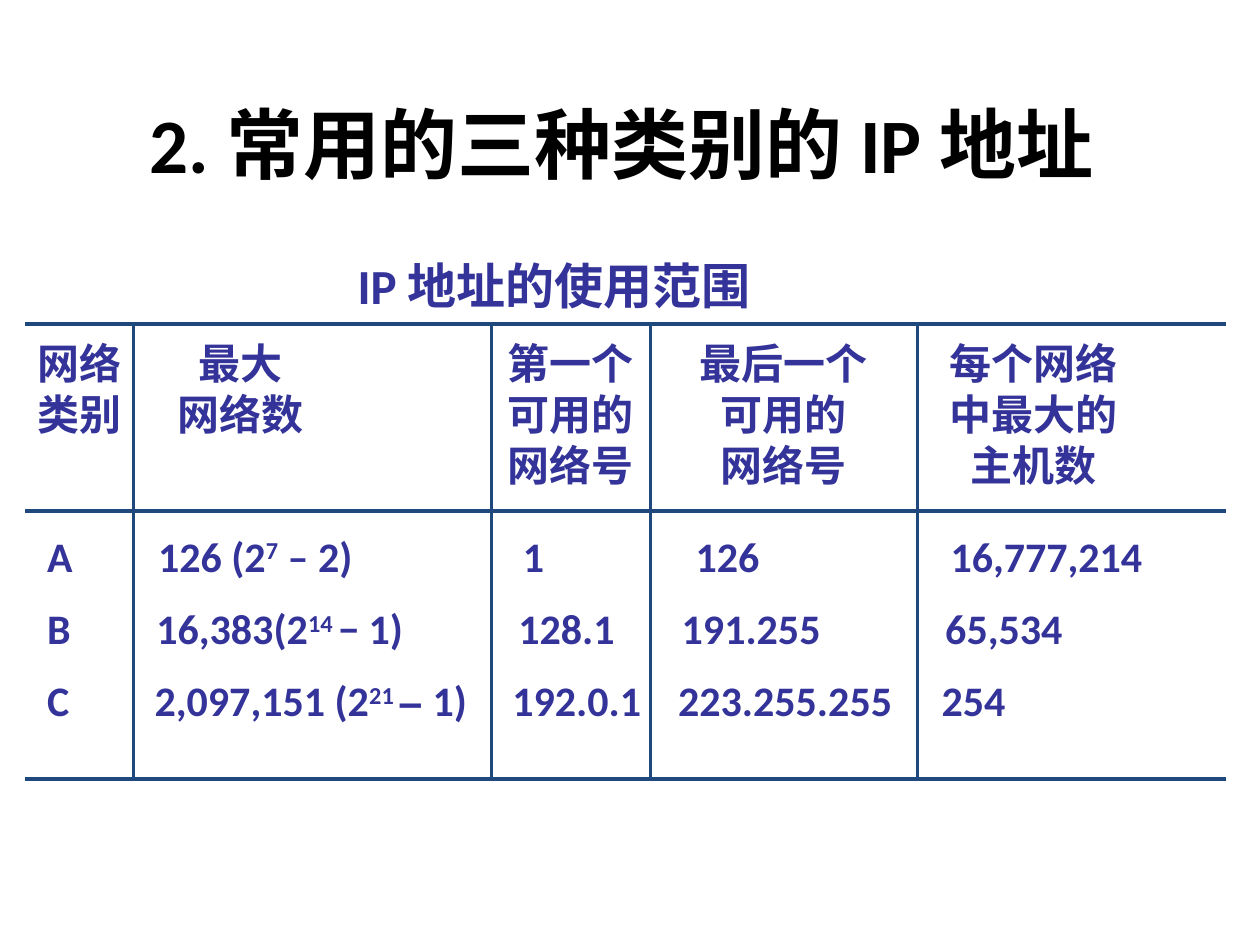
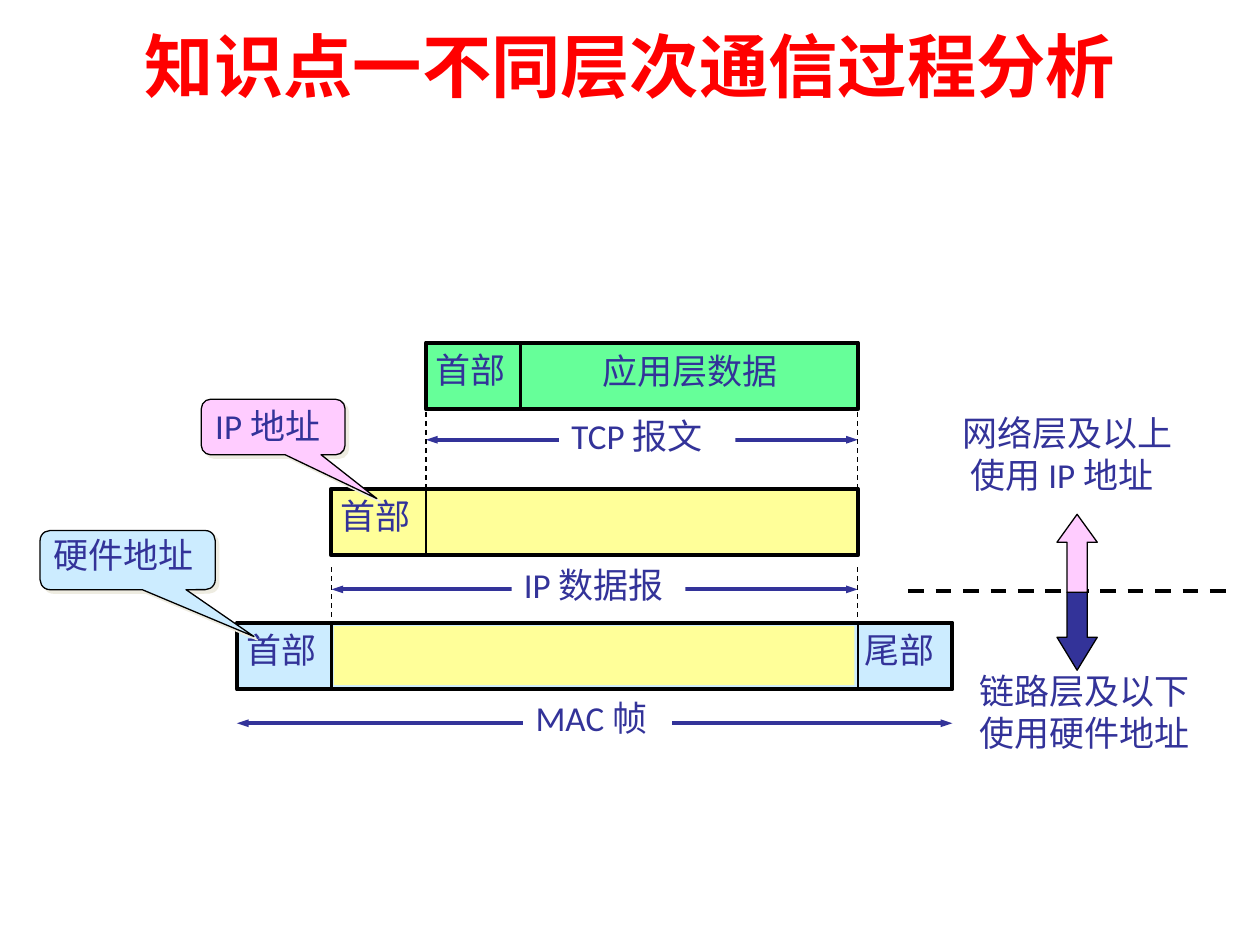
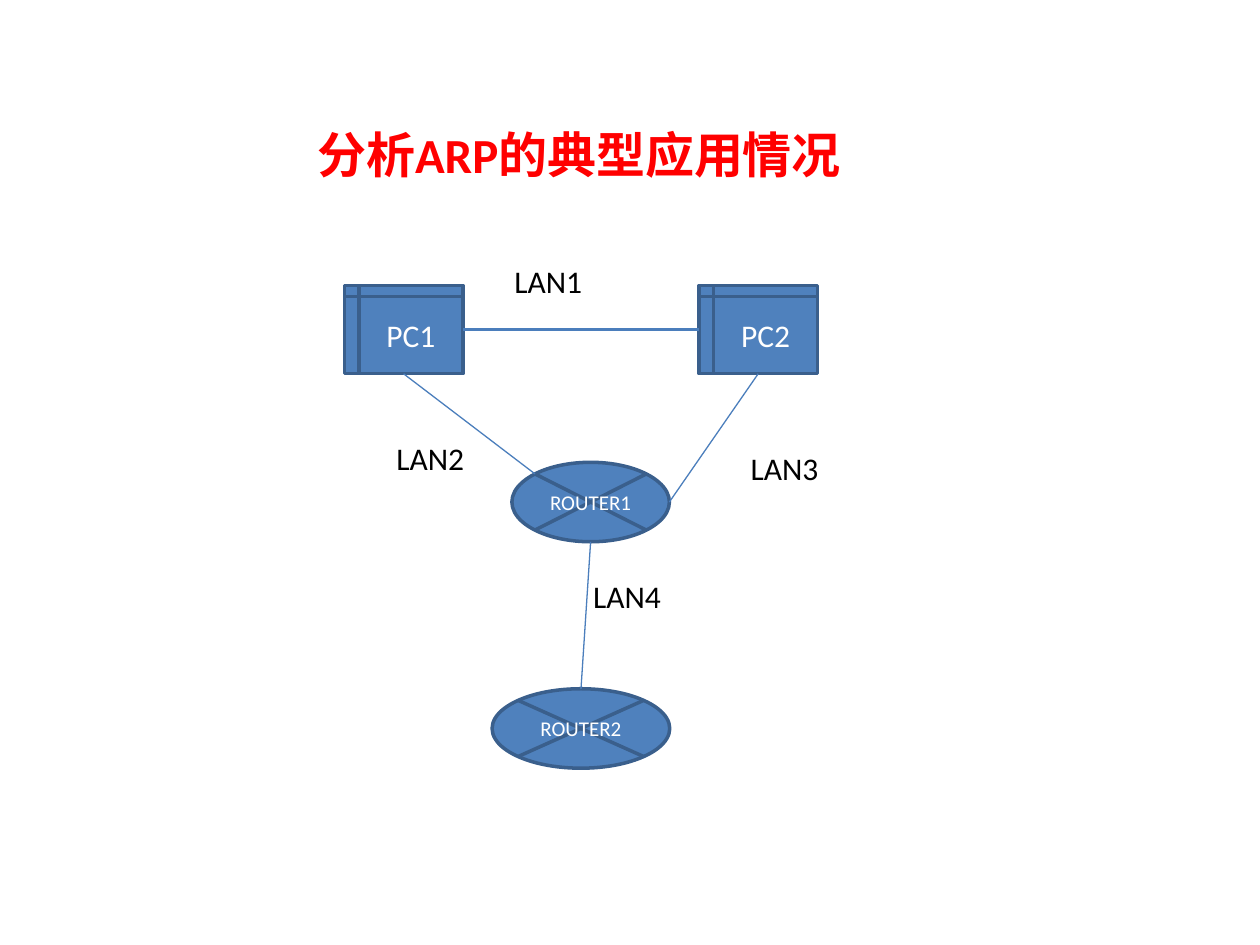
from itertools import accumulate

from lxml import etree
from pptx import Presentation
from pptx.dml.color import RGBColor
from pptx.enum import dml, shapes, text
from pptx.oxml.ns import qn
from pptx.util import Pt

FONT, INK, NAVY, BLACK, RED = "Calibri", "333399", "1F497D", "000000", "FF0000"
PINK, SKY, CREAM, MINT, WHITE = "FFCCFF", "CCECFF", "FFFF99", "66FF99", "FFFFFF"
BLUE, EDGE, WIRE = "4F81BD", "3A5F8C", "4B7EBC"
SHAPE, MID = shapes.MSO_SHAPE, text.PP_ALIGN.CENTER

# Slide 1: address ranges; ^ sets off a raised or separately styled piece
RANGES = [
    ["网络\n类别", "最大\n网络数", "第一个\n可用的\n网络号",
     "最后一个\n可用的\n网络号", "每个网络\n中最大的\n主机数"],
    ["A", "126 (2^7^ – 2)", "1", "126", "16,777,214"],
    ["B", "16,383(2^14 ^− 1)", "128.1", "191.255", "65,534"],
    ["C", "2,097,151 (2^21 ^− ^1)", "192.0.1", "223.255.255", "254"],
]
FACES = {"− ": "Karla"}
LEFT, TOP = 14.4, 185
COLS = [62, 204.4, 90.8, 152.6, 176.4]
ROWS = [107.2, 47.6, 41, 64.6]
PADS = [10, 12, 6, 6]
LEFTS = [
    [0, 0, 0, 0, 0],
    [12.5, 14, 18, 26, 19],
    [12.5, 13, 15.5, 18, 16],
    [12.5, 12, 12, 16, 14],
]
HEAD_RIGHTS = [0, 82, 0, 0, 44]

# Slide 2: each bar: fill, left step, right, top, arrow y, label, label box
X0, STEP, HIGH, END, TAIL = 135.4, 54, 38.2, 490.2, 544.2
BARS = [
    (MINT, 2, END, 195.8, 251.3, "TCP 报文", (319.5, 233.3, 100.8)),
    (CREAM, 1, END, 279.2, 336.8, "IP 数据报", (292.3, 318.2, 99.4)),
    (SKY, 0, TAIL, 355.8, 413.3, "MAC 帧", (298.9, 394.6, 85)),
]
TIES = [(1, 324, 355.7), (2, 235.4, 279.2)]
CALLS = [
    ("硬件地址", SKY, (22.9, 303.2, 100.1, 33.8), (0.721, 1.292, 0.167), 301.2),
    ("IP 地址", PINK, (115.1, 228.2, 82.1, 31.7), (0.722, 1.291, 0.167), 227.5),
]
ZONES = [
    (SHAPE.DOWN_ARROW, INK, 338.4, 0.818, "链路层及以下\n使用硬件地址", 552.6, 379.1),
    (SHAPE.UP_ARROW, PINK, 293.9, 0.694, "网络层及以上\n 使用 IP 地址", 542.9, 231.8),
]

# Slide 3: devices, wires and network names
PC, HUB = SHAPE.FLOWCHART_INTERNAL_STORAGE, SHAPE.FLOWCHART_SUMMING_JUNCTION
NODES = [
    ("PC1", PC, 18, (196.8, 163.2, 67.7, 50.4)),
    ("ROUTER1", HUB, 12, (292.5, 264.2, 90, 45.4)),
    ("PC2", PC, 18, (399.4, 163.2, 67.7, 50.4)),
    ("ROUTER2", HUB, 12, (281.2, 393.6, 101.5, 45.4)),
]
LANS = [("LAN1", 286.8, 146.2), ("LAN2", 219.4, 247.4),
        ("LAN3", 421.9, 253.1), ("LAN4", 331.9, 326.2)]


def rgb(code):
    return RGBColor.from_string(code)


def style(par, size, color, bold=False):
    for run in par.runs:
        font = run.font
        font.name, font.size, font.bold = FONT, Pt(size), bold
        font.color.rgb = rgb(color)


def write(slide, words, box, size=20, color=INK, bold=False, wrap=False, fill=None):
    item = slide.shapes.add_textbox(*map(Pt, box))
    if fill:
        item.fill.solid()
        item.fill.fore_color.rgb = rgb(fill)
    frame = item.text_frame
    frame.text, frame.word_wrap = words, wrap
    if not wrap:
        frame.auto_size = text.MSO_AUTO_SIZE.SHAPE_TO_FIT_TEXT
    for par in frame.paragraphs:
        style(par, size, color, bold)
    return item


def title(slide, words, top, high, size, color):
    frame = write(slide, words, (36, top, 648, high), size, color, True, True).text_frame
    frame.vertical_anchor = text.MSO_ANCHOR.BOTTOM
    frame.paragraphs[0].alignment = MID


def draw(slide, kind, box, fill, line=None, width=0.75, adj=()):
    item = slide.shapes.add_shape(kind, *map(Pt, box))
    item.shadow.inherit = False
    item.fill.solid()
    item.fill.fore_color.rgb = rgb(fill)
    if line:
        item.line.color.rgb, item.line.width = rgb(line), Pt(width)
    else:
        item.line.fill.background()
    for i, value in enumerate(adj):
        item.adjustments[i] = value
    return item


def rule(slide, x1, y1, x2, y2, color=BLACK, width=0.75, dash=False, heads=False):
    item = slide.shapes.add_connector(
        shapes.MSO_CONNECTOR.STRAIGHT, *map(Pt, (x1, y1, x2, y2)))
    item.line.color.rgb, item.line.width = rgb(color), Pt(width)
    if dash:
        item.line.dash_style = dml.MSO_LINE.DASH
    if heads:
        for end in ("a:headEnd", "a:tailEnd"):
            etree.SubElement(item.line._get_or_add_ln(), qn(end),
                             type="triangle", w="sm", len="med")
    etree.SubElement(item._element.spPr, qn("a:effectLst"))
    return item


def fill_cell(cell, words, row, col):
    cell.fill.background()
    cell.margin_left = Pt(LEFTS[row][col])
    cell.margin_right = Pt(0 if row else HEAD_RIGHTS[col])
    cell.margin_top, cell.margin_bottom = Pt(PADS[row]), Pt(0)
    frame = cell.text_frame
    if row == 0:
        frame.text = words
        for par in frame.paragraphs:
            par.alignment, par.line_spacing = MID, Pt(29)
            style(par, 24, INK, True)
        return
    par = frame.paragraphs[0]
    for piece in words.split("^"):
        par.add_run().text = piece
    style(par, 24, INK, True)
    for i, run in enumerate(par.runs):
        run.font.name = FACES.get(run.text, FONT)
        if i == 1:
            run._r.get_or_add_rPr().set("baseline", "30000")


def ranges(slide):
    title(slide, "2. 常用的三种类别的 IP 地址 ", 21.6, 90, 44, BLACK)
    write(slide, "IP 地址的使用范围", (197.3, 142.6, 249, 41), 28, bold=True)
    wide, high = sum(COLS), sum(ROWS)
    grid = slide.shapes.add_table(
        len(ROWS), len(COLS), *map(Pt, (LEFT, TOP, wide, high))).table
    grid.first_row = grid.horz_banding = False
    for col, size in zip(grid.columns, COLS):
        col.width = Pt(size)
    for r, (line, size) in enumerate(zip(RANGES, ROWS)):
        grid.rows[r].height = Pt(size)
        for c, words in enumerate(line):
            fill_cell(grid.cell(r, c), words, r, c)
    # Rules around header and body, lines between columns
    for y in (TOP, TOP + ROWS[0], TOP + high):
        rule(slide, LEFT, y, LEFT + wide, y, NAVY, 2.25)
    for x in accumulate(COLS[:-1]):
        rule(slide, LEFT + x, TOP + high, LEFT + x, TOP, NAVY, 1.5)


def layers(slide):
    title(slide, "知识点一不同层次通信过程分析", 0, 64.4, 39.6, RED)
    # Extent arrows with their labels, then guides between bars
    for _, step, right, _, y, label, (lx, ly, wide) in BARS:
        rule(slide, X0 + step * STEP, y, right, y, INK, 2.25, heads=True)
        write(slide, label, (lx, ly, wide, 30.2), fill=WHITE)
    for step, y1, y2 in TIES:
        for x in (X0 + step * STEP, END):
            rule(slide, x, y1, x, y2, dash=True)
    rule(slide, 519, 337.9, 700.6, 337.9, width=2.25, dash=True)
    # Bars with header cells
    for fill, step, right, top, *_ in BARS:
        left = X0 + step * STEP
        draw(slide, SHAPE.RECTANGLE, (left, top, right - left, HIGH), fill, BLACK, 2.25)
        cuts = [left + STEP] + ([END] if right == TAIL else [])
        for x in cuts:
            rule(slide, x, top, x, top + HIGH, width=1.5)
        write(slide, "首部", (left - 1.8, top - 0.2, 55.4, 30.2))
    write(slide, "应用层数据", (337, 196.3, 115.2, 30.2))
    write(slide, "尾部", (486.7, 355.7, 55.4, 30.2))
    draw(slide, SHAPE.RECTANGLE, (190.8, 357.8, 297.4, 33.8), CREAM)
    # Which address each side of the boundary uses
    for kind, fill, top, adj, note, x, y in ZONES:
        draw(slide, kind, (604, top, 23, 44.6), fill, BLACK, adj=(0.5, adj))
        write(slide, note, (x, y, 135.4, 54))
    # Callouts
    for words, fill, box, adj, top in CALLS:
        item = draw(slide, SHAPE.ROUNDED_RECTANGULAR_CALLOUT, box, fill, BLACK, adj=adj)
        glow = item._element.spPr.find(qn("a:effectLst"))
        shade = etree.SubElement(glow, qn("a:outerShdw"), dist=str(Pt(2.8)), dir="2700000")
        etree.SubElement(shade, qn("a:srgbClr"), val="EEECE1")
        write(slide, words, (box[0] + 0.8, top, box[2] - 1.5, 30.2))


def network(slide):
    made = {}
    for name, kind, size, box in NODES:
        item = made[name] = draw(slide, kind, box, BLUE, EDGE, 2)
        frame = item.text_frame
        frame.text, frame.vertical_anchor = name, text.MSO_ANCHOR.MIDDLE
        frame.paragraphs[0].alignment = MID
        style(frame.paragraphs[0], size, WHITE)
    # Wires
    wire = rule(slide, 264.5, 188.4, 399.4, 188.4, WIRE, 1.75)
    wire.begin_connect(made["PC1"], 3)
    wire.end_connect(made["PC2"], 1)
    for name, x, y in (("PC1", 305.7, 270.8), ("PC2", 382.5, 286.9)):
        rule(slide, x, y, x, y, WIRE).begin_connect(made[name], 2)
    rule(slide, 337.5, 309.6, 332, 393.6, WIRE)
    for name, x, y in LANS:
        write(slide, name, (x, y, 54, 28.8), 18, BLACK)
    write(slide, "分析ARP的典型应用情况", (174.2, 67.7, 318.2, 41), 28, RED, True, True)


def main():
    deck = Presentation()
    deck.slide_width, deck.slide_height = Pt(720), Pt(540)
    for build in (ranges, layers, network):
        build(deck.slides.add_slide(deck.slide_layouts[6]))
    deck.save("out.pptx")


if __name__ == "__main__":
    main()
